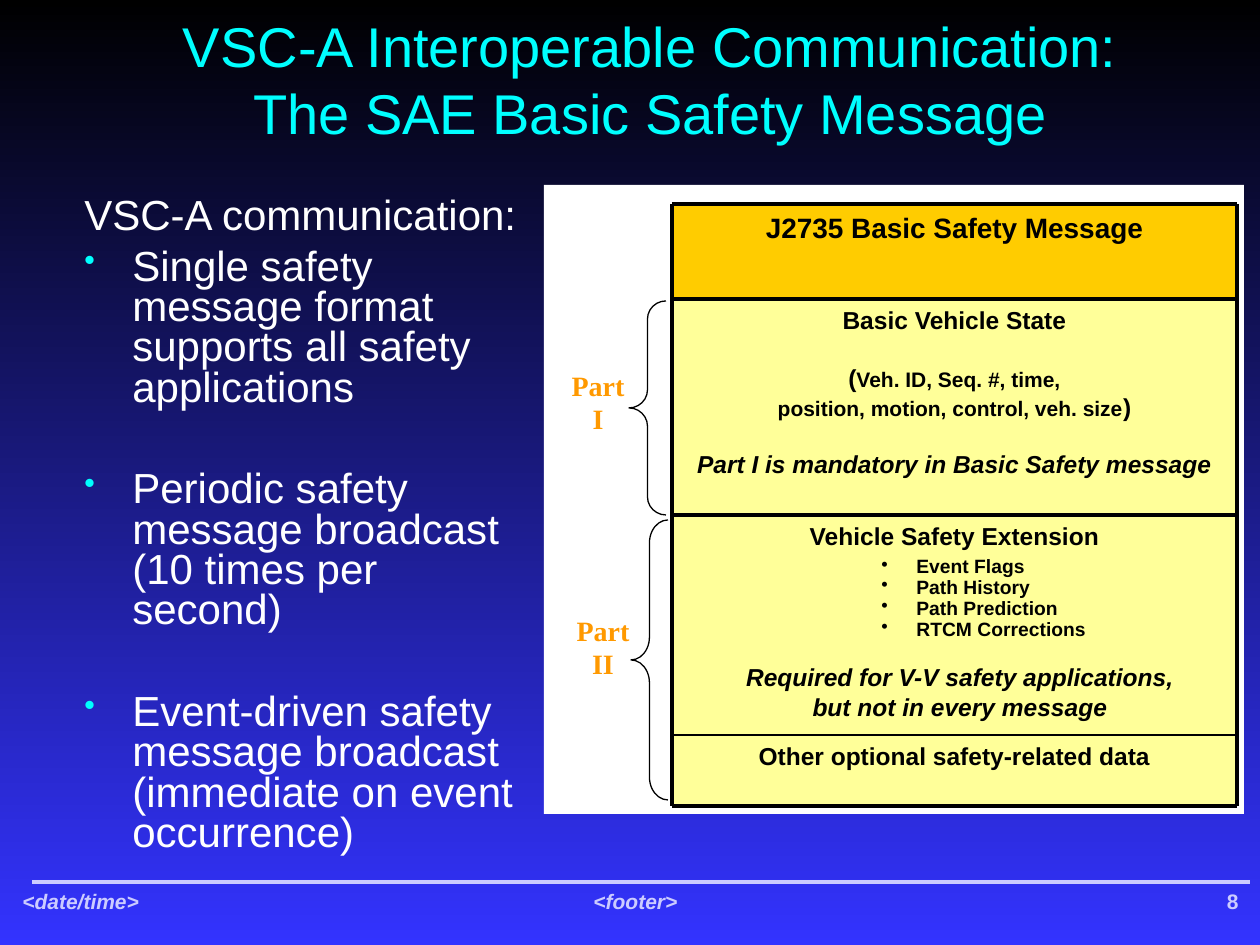
from lxml.etree import SubElement
from pptx import Presentation
from pptx.dml.color import RGBColor
from pptx.enum.shapes import MSO_CONNECTOR as Connector, MSO_SHAPE as Preset
from pptx.enum.text import MSO_ANCHOR as Anchor, PP_ALIGN as Align
from pptx.oxml.ns import qn
from pptx.util import Pt

SCALE = 914400 / 126
COLORS = {
    "night": "000000", "blue": "3333FF", "cyan": "00FFFF", "white": "FFFFFF",
    "lavender": "CCCCFF", "black": "000000", "gold": "FFCC00",
    "cream": "FFFF99", "orange": "FF9900",
}


def px(length):
    return round(length * SCALE)


def rgb(name):
    return RGBColor.from_string(COLORS[name])


class SlideBuilder:
    """Holds the text style and the current slide, and draws each kind of element."""

    base = {"name": "Arial", "size": 14, "color": "black", "bold": False, "italic": False}

    def __init__(self, page):
        self.page = page

    def background(self, top, bottom):
        fill = self.page.background.fill
        fill.gradient()
        fill.gradient_angle = 270
        for stop, name in zip(fill.gradient_stops, (top, bottom)):
            stop.color.rgb = rgb(name)

    def style_span(self, span, style):
        values = {**self.base, **style}
        span.font.color.rgb = rgb(values.pop("color"))
        values["size"] = Pt(values["size"])
        for key, value in values.items():
            setattr(span.font, key, value)

    def bullet(self, para, indent, color, percent):
        props = para._p.get_or_add_pPr()
        props.set("marL", str(px(indent)))
        props.set("indent", str(-px(indent)))
        paint = SubElement(props, qn("a:buClr"))
        SubElement(paint, qn("a:srgbClr")).set("val", COLORS[color])
        SubElement(props, qn("a:buSzPct")).set("val", str(percent * 1000))
        SubElement(props, qn("a:buChar")).set("char", "•")

    def fill_text(self, box, paras, style, align=Align.CENTER, anchor=Anchor.TOP):
        frame = box.text_frame
        frame.word_wrap = True
        frame.vertical_anchor = anchor
        for index, (text, layout) in enumerate(paras):
            para = frame.paragraphs[0] if index == 0 else frame.add_paragraph()
            layout = {"alignment": align, **layout}
            changes = layout.pop("spans", {})
            if "bullet" in layout:
                self.bullet(para, *layout.pop("bullet"))
            for key, value in layout.items():
                setattr(para, key, value)
            if isinstance(text, str):
                para.text = text
                for span in para.runs:
                    self.style_span(span, {**style, **changes})
            else:
                for part, size in text:
                    span = para.add_run()
                    span.text = part
                    self.style_span(span, {**style, "size": size})

    def text(self, area, paras, style, **options):
        box = self.page.shapes.add_textbox(*map(px, area))
        self.fill_text(box, paras, style, **options)

    def panel(self, area, fill, paras=(), style=None, **options):
        box = self.page.shapes.add_shape(Preset.RECTANGLE, *map(px, area))
        box.shadow.inherit = False
        box.fill.solid()
        box.fill.fore_color.rgb = rgb(fill)
        box.line.fill.background()
        if paras:
            self.fill_text(box, paras, style, **options)

    def line(self, ends, color="black", width=2.0):
        rule = self.page.shapes.add_connector(Connector.STRAIGHT, *map(px, ends))
        rule.line.color.rgb = rgb(color)
        rule.line.width = Pt(width)
        SubElement(rule._element.spPr, qn("a:effectLst"))

    def brace(self, area, curve):
        brace = self.page.shapes.add_shape(Preset.LEFT_BRACE, *map(px, area))
        brace.shadow.inherit = False
        brace.fill.background()
        brace.line.color.rgb = rgb("black")
        brace.line.width = Pt(0.75)
        brace.adjustments[0] = curve


def main():
    deck = Presentation()
    deck.slide_width, deck.slide_height = px(1260), px(945)
    slide = SlideBuilder(deck.slides.add_slide(deck.slide_layouts[6]))
    slide.background("night", "blue")

    footer = {"size": 12, "color": "lavender", "bold": True}
    slide.text((989, 882, 262, 63), [("8", {})], footer, align=Align.RIGHT)
    slide.line((32, 882, 1250, 882), "lavender", 2.25)
    footer["italic"] = True
    slide.text((10, 882, 262, 63), [("<date/time>", {})], footer, align=Align.LEFT)
    slide.text((305, 882, 661, 63), [("<footer>", {})], footer)

    slide.panel((544, 185, 700, 629), "white")
    slide.text((72, 0, 1157, 157),
               [("VSC-A Interoperable Communication:\nThe SAE Basic Safety Message", {})],
               {"size": 32, "color": "cyan"}, anchor=Anchor.MIDDLE)

    points = (
        ("Single safety message format supports all safety applications", 6),
        ("Periodic safety message broadcast (10 times per second)", 35),
        ("Event-driven safety message broadcast (immediate on event occurrence)", 35),
    )
    body = [("VSC-A communication:", {"line_spacing": 0.8})]
    body += [(text, {"bullet": (48, "cyan", 75), "line_spacing": 0.8, "space_before": Pt(gap)})
             for text, gap in points]
    slide.text((72, 192, 467, 694), body, {"size": 24, "color": "white"}, align=Align.LEFT)

    left, right, width = 672, 1237, 565
    heading = {"bold": True}
    emphasis = {"italic": True}
    slide.panel((left, 735, width, 71), "cream",
                [("Other optional safety-related data", {})], heading)
    slide.panel((left, 663, width, 72), "cream")
    slide.panel((left, 515, width, 148), "cream", [("Vehicle Safety Extension", {})], heading)
    slide.panel((left, 299, width, 214), "cream", [
        ("Basic Vehicle State", {}),
        ([("(", 14), ("Veh. ID, Seq. #, time,", 12)], {"space_before": Pt(16)}),
        ([("position, motion, control, veh. size", 12), (")", 14)], {}),
        ("Part I is mandatory in Basic Safety message",
         {"space_before": Pt(16), "spans": emphasis}),
    ], heading)
    slide.panel((left, 204, width, 95), "gold",
                [("J2735 Basic Safety Message", {})], {"size": 16, "bold": True})
    slide.panel((869, 551, 241, 110), "cream",
                [(item, {"bullet": (35, "black", 100), "line_spacing": 0.9})
                 for item in ("Event Flags", "Path History", "Path Prediction", "RTCM Corrections")],
                {"size": 11, "bold": True}, align=Align.LEFT)
    slide.panel((699, 656, 522, 84), "cream",
                [("Required for V-V safety applications,\nbut not in every message", {})],
                {**heading, **emphasis})

    for y, weight in ((204, 2), (299, 2), (515, 2), (735, 0.75), (806, 2.25)):
        slide.line((left, y, right, y), width=weight)
    for x, weight in ((left, 2), (right, 2.25)):
        slide.line((x, 204, x, 806), width=weight)

    label = {"name": "Times New Roman", "size": 16, "color": "orange", "bold": True}
    for name, x, y in (("Part I", 553, 326), ("Part II", 558, 571)):
        slide.text((x, y, 90, 152), [(name, {})], label, anchor=Anchor.MIDDLE)
    slide.brace((629, 301, 37, 214), 0.49)
    slide.brace((631, 520, 37, 280), 0.62)

    deck.save("out.pptx")


if __name__ == "__main__":
    main()
